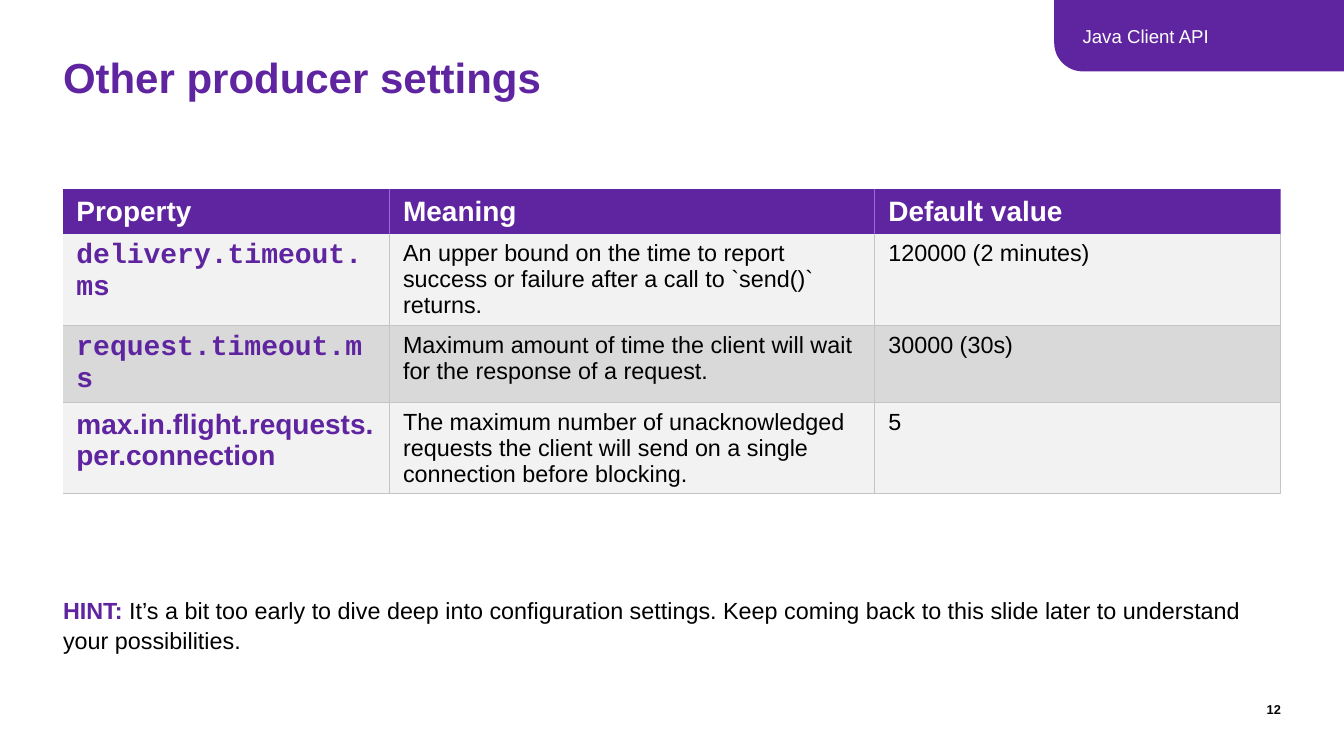
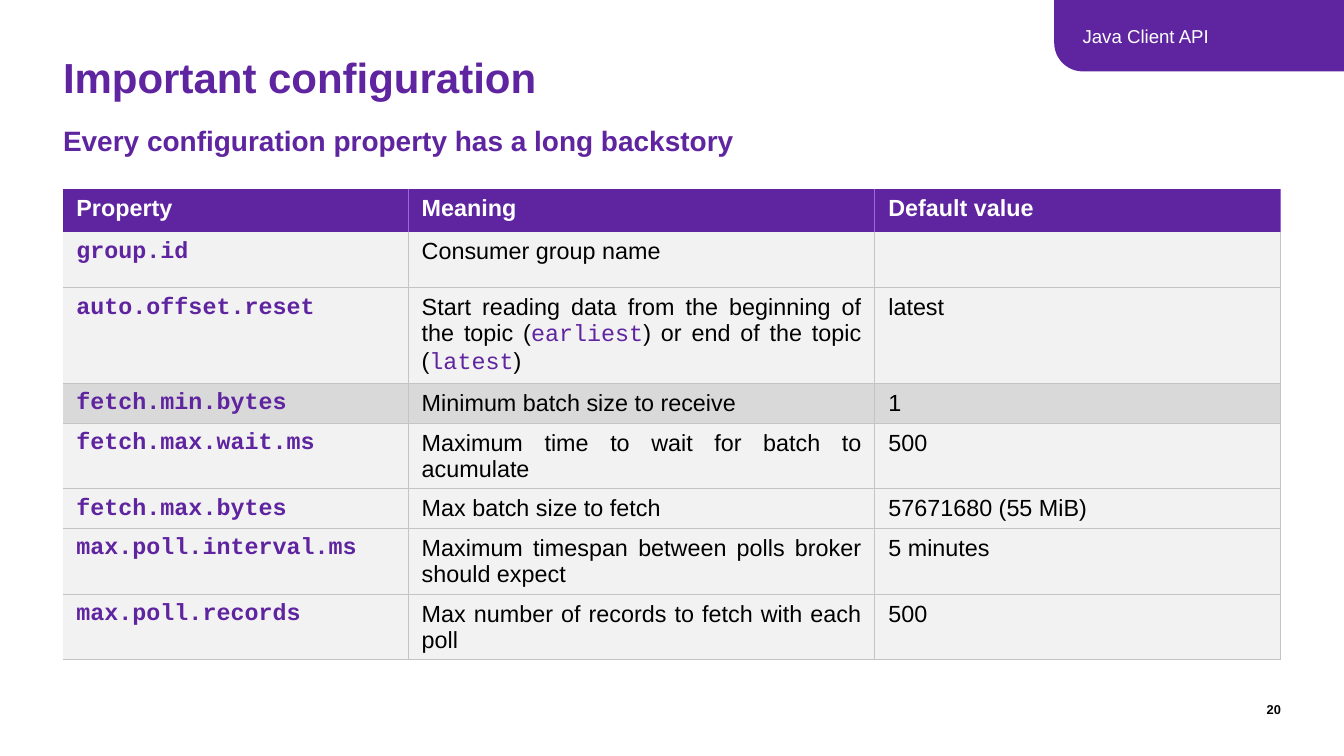
from dataclasses import dataclass
from typing import NamedTuple

from lxml.etree import SubElement
from pptx import Presentation
from pptx.dml.color import RGBColor
from pptx.enum.shapes import MSO_SHAPE
from pptx.enum.text import MSO_ANCHOR, MSO_AUTO_SIZE, PP_ALIGN
from pptx.oxml import parse_xml
from pptx.oxml.ns import nsdecls, qn
from pptx.slide import Slide
from pptx.table import _Cell
from pptx.text.text import TextFrame
from pptx.util import Pt

HUES = {
    "brand": "5F249F",
    "edge": "9E65DC",
    "rule": "C4C4C0",
    "pale": "F2F2F2",
    "dark": "D9D9D9",
    "white": "FFFFFF",
    "black": "000000",
}
SANS, MONO = "Arial", "Courier New"
LEFT, WIDE = 54, 1044
FLAT = {"margin_left": 0, "margin_right": 0, "margin_top": 0, "margin_bottom": 0}
FRAME = {"word_wrap": True, "auto_size": MSO_AUTO_SIZE.NONE}
TOP = FRAME | FLAT | {"vertical_anchor": MSO_ANCHOR.TOP}
MID = FRAME | {"vertical_anchor": MSO_ANCHOR.MIDDLE}
CELL = {
    "margin_left": Pt(11.5),
    "margin_right": Pt(11.5),
    "margin_top": Pt(5.75),
    "margin_bottom": Pt(5.75),
    "vertical_anchor": MSO_ANCHOR.TOP,
}
BODY = {"alignment": PP_ALIGN.LEFT, "space_before": Pt(12), "line_spacing": 1.07}
HEAD = {"alignment": PP_ALIGN.LEFT, "line_spacing": 0.85}
HEADS = ("Property", "Meaning", "Default value")


class Run(NamedTuple):
    text: str
    size: float
    hue: str = "black"
    bold: bool = False
    face: str = SANS


class Box(NamedTuple):
    left: float
    top: float
    width: float
    height: float


class Row(NamedTuple):
    height: float
    key: Run
    note: list[Run]
    value: str
    fill: str = "pale"


@dataclass
class Grid:
    size: float
    height: float
    cols: tuple[float, ...]
    align: PP_ALIGN
    rows: list[Row]


@dataclass
class Page:
    number: str
    title: str
    box: Box
    body: list[Run]
    grid: Grid


def apply(target: object, values: dict) -> None:
    for name, value in values.items():
        setattr(target, name, value)


def tint(name: str) -> RGBColor:
    return RGBColor.from_string(HUES[name])


def write(frame: TextFrame, runs: list[Run], form: dict) -> None:
    para = frame.paragraphs[0]
    apply(para, form)
    for item in runs:
        run = para.add_run()
        run.text = item.text
        apply(run.font, {"name": item.face, "size": Pt(item.size), "bold": item.bold})
        run.font.color.rgb = tint(item.hue)


def place(shape, box: Box) -> None:
    apply(shape, {name: Pt(size) for name, size in box._asdict().items()})


def label(slide: Slide, box: Box, run: Run, frame: dict, form: dict) -> None:
    shape = slide.shapes.add_textbox(*map(Pt, box))
    apply(shape.text_frame, frame)
    write(shape.text_frame, [run], form)


def fill_holder(shape, box: Box, runs: list[Run], form: dict) -> None:
    place(shape, box)
    apply(shape.text_frame, TOP)
    write(shape.text_frame, runs, form)


def edge(cell: _Cell, hues: dict[str, str]) -> None:
    props = cell._tc.get_or_add_tcPr()
    for spot, side in enumerate("LRTB"):
        line = parse_xml(f'<a:ln{side} {nsdecls("a")} w="12700"/>')
        if side in hues:
            paint = SubElement(line, qn("a:solidFill"))
            SubElement(paint, qn("a:srgbClr"), val=HUES[hues[side]])
        else:
            SubElement(line, qn("a:noFill"))
        props.insert(spot, line)


def draw_cell(cell: _Cell, runs: list[Run], fill: str, align: PP_ALIGN) -> None:
    apply(cell, CELL)
    cell.fill.solid()
    cell.fill.fore_color.rgb = tint(fill)
    write(cell.text_frame, runs, {"alignment": align})


def draw_grid(slide: Slide, grid: Grid) -> None:
    tall = [grid.height] + [row.height for row in grid.rows]
    box = Box(LEFT, 162, WIDE, sum(tall))
    table = slide.shapes.add_table(len(tall), len(grid.cols), *map(Pt, box)).table
    for col, width in zip(table.columns, grid.cols):
        col.width = Pt(width)
    for line, height in zip(table.rows, tall):
        line.height = Pt(height)
    for col, text in enumerate(HEADS):
        cell = table.cell(0, col)
        draw_cell(cell, [Run(text, grid.size, "white", True)], "brand", PP_ALIGN.LEFT)
        edge(cell, dict.fromkeys("LR" if col else "R", "edge"))
    for line, row in enumerate(grid.rows, 1):
        value = [Run(row.value, 20)] if row.value else []
        for col, runs in enumerate(([row.key], row.note, value)):
            cell = table.cell(line, col)
            draw_cell(cell, runs, row.fill, grid.align if col == 1 else PP_ALIGN.LEFT)
            sides = "RB" + ("L" if col else "") + ("T" if line > 1 else "")
            edge(cell, dict.fromkeys(sides, "rule"))


def draw_band(slide: Slide, number: str) -> None:
    band = slide.shapes.add_shape(
        MSO_SHAPE.ROUND_1_RECTANGLE, *map(Pt, (903.6, 0, 248.4, 61.2))
    )
    band.adjustments[0] = 0.4
    band.rotation = 180
    band.shadow.inherit = False
    band.fill.solid()
    band.fill.fore_color.rgb = tint("brand")
    band.line.fill.background()
    label(slide, Box(920.9, 0, 213.8, 61.2), Run("Java Client API", 16, "white"), MID, BODY)
    label(
        slide,
        Box(1065.6, 597, 32.4, 21.6),
        Run(number, 11, bold=True),
        MID | FLAT,
        {"alignment": PP_ALIGN.RIGHT},
    )


def draw_page(slide: Slide, page: Page) -> None:
    draw_band(slide, page.number)
    title, body = slide.placeholders
    head = [Run(page.title, 36, "brand", True)]
    fill_holder(title, Box(LEFT, 50.4, 839.5, 53.3), head, HEAD)
    fill_holder(body, page.box, page.body, BODY)
    props = body.text_frame.paragraphs[0]._p.get_or_add_pPr()
    props.set("marL", "0")
    props.set("indent", "0")
    SubElement(props, qn("a:buNone"))
    draw_grid(slide, page.grid)


def code(text: str, size: float = 20, bold: bool = True) -> Run:
    return Run(text, size, "brand", bold, MONO)


def plain(text: str) -> list[Run]:
    return [Run(text, 20)]


PAGES = [
    Page(
        "12",
        "Other producer settings",
        Box(LEFT, 509, WIDE, 44.6),
        [
            Run("HINT: ", 20, "brand", True),
            Run(
                "It’s a bit too early to dive deep into configuration settings. "
                "Keep coming back to this slide later to understand your possibilities.",
                20,
            ),
        ],
        Grid(24, 38.5, (280, 416, 348), PP_ALIGN.LEFT, [
            Row(78, code("delivery.timeout.ms", 24), plain(
                "An upper bound on the time to report success or failure "
                "after a call to `send()` returns."
            ), "120000 (2 minutes)"),
            Row(66, code("request.timeout.ms", 24), plain(
                "Maximum amount of time the client will wait "
                "for the response of a request."
            ), "30000 (30s)", "dark"),
            Row(78, Run("max.in.flight.requests.per.connection", 24, "brand", True), plain(
                "The maximum number of unacknowledged requests the client "
                "will send on a single connection before blocking."
            ), "5"),
        ]),
    ),
    Page(
        "20",
        "Important configuration",
        Box(LEFT, 103.7, 661, 44.6),
        [Run("Every configuration property has a long backstory", 24, "brand", True)],
        Grid(20, 36.8, (296, 400, 348), PP_ALIGN.JUSTIFY, [
            Row(48, code("group.id"), plain("Consumer group name"), ""),
            Row(82, code("auto.offset.reset"), [
                Run("Start reading data from the beginning of the topic (", 20),
                code("earliest", bold=False),
                Run(") or end of the topic (", 20),
                code("latest", bold=False),
                Run(")", 20),
            ], "latest"),
            Row(34, code("fetch.min.bytes"), plain("Minimum batch size to receive"), "1", "dark"),
            Row(56, code("fetch.max.wait.ms"),
                plain("Maximum time to wait for batch to acumulate"), "500"),
            Row(34, code("fetch.max.bytes"),
                plain("Max batch size to fetch"), "57671680 (55 MiB)"),
            Row(56, code("max.poll.interval.ms"),
                plain("Maximum timespan between polls broker should expect"), "5 minutes"),
            Row(56, code("max.poll.records"),
                plain("Max number of records to fetch with each poll"), "500"),
        ]),
    ),
]


def main() -> None:
    deck = Presentation()
    deck.slide_width, deck.slide_height = Pt(1152), Pt(648)
    for page in PAGES:
        draw_page(deck.slides.add_slide(deck.slide_layouts[1]), page)
    deck.save("out.pptx")


if __name__ == "__main__":
    main()
